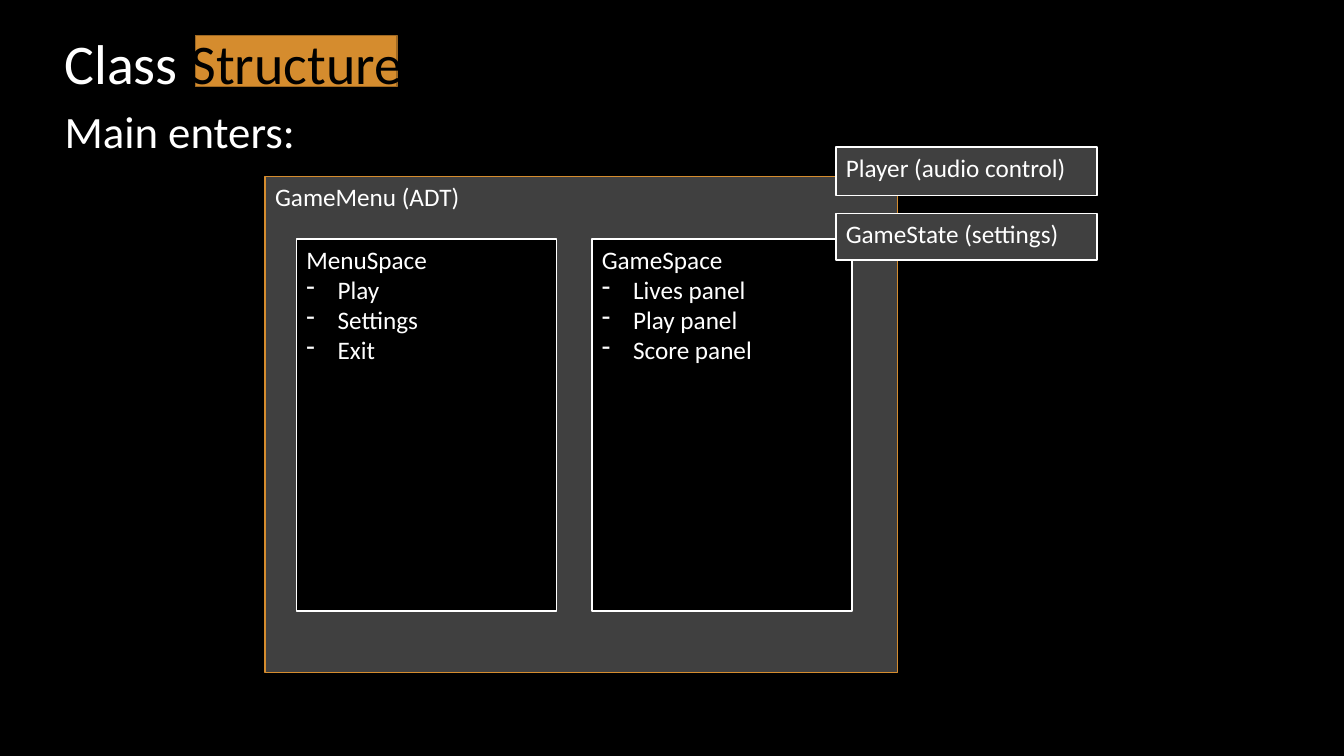
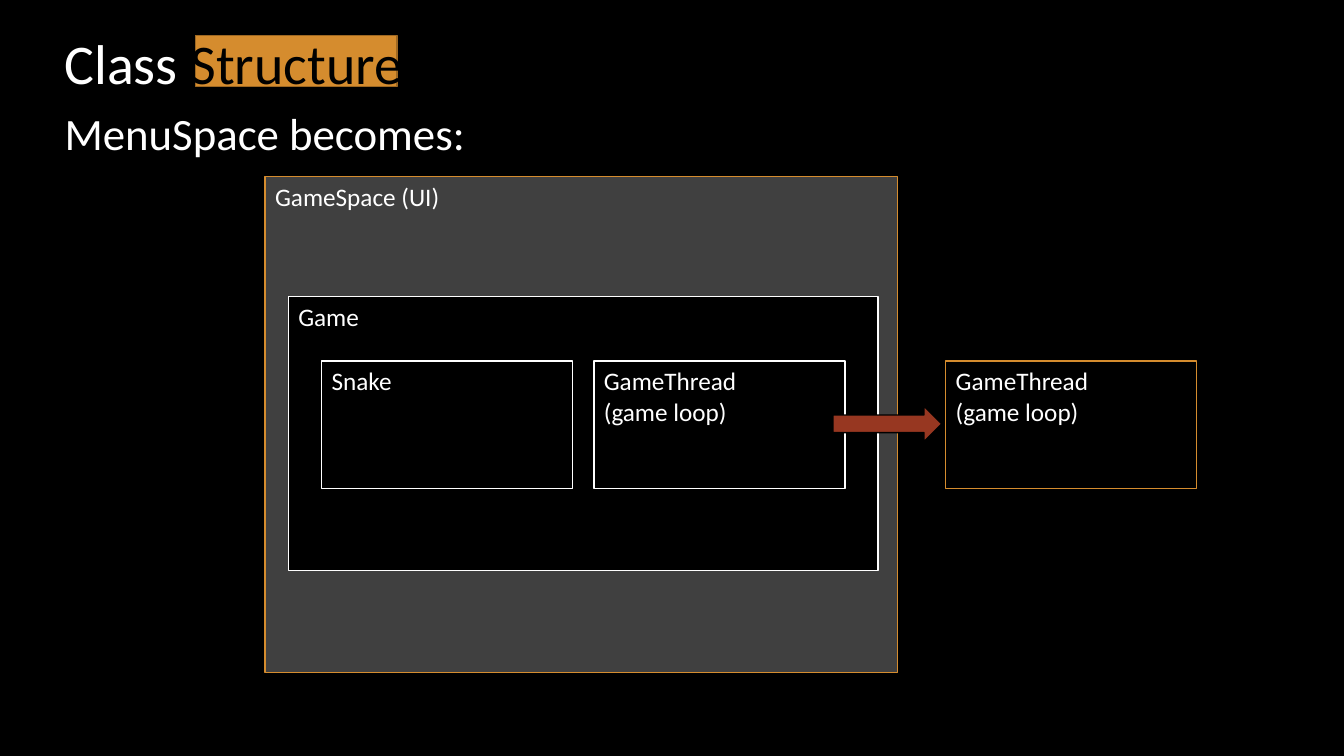
from dataclasses import dataclass
from typing import Any

from lxml import etree
from pptx import Presentation
from pptx.dml.color import RGBColor
from pptx.enum.shapes import MSO_SHAPE
from pptx.enum.text import MSO_ANCHOR, MSO_AUTO_SIZE, PP_ALIGN
from pptx.oxml.ns import qn
from pptx.util import Inches, Pt

RECT, ARROW = MSO_SHAPE.RECTANGLE, MSO_SHAPE.RIGHT_ARROW
TOP, LEFT = MSO_ANCHOR.TOP, PP_ALIGN.LEFT
GROW = MSO_AUTO_SIZE.SHAPE_TO_FIT_TEXT

# Shared look
HEX = {
    "black": "000000", "white": "FFFFFF", "gray": "404040",
    "gold": "D58C2E", "brown": "9E6822", "red": "973721",
}
FONT = "Calibri"
FRAME = {"word_wrap": True, "vertical_anchor": TOP}
TITLE = {**FRAME, "auto_size": GROW}
LABEL = {**TITLE, "word_wrap": False}
INDENT = 0.31


@dataclass
class Box:
    x: float
    y: float
    w: float
    h: float
    lines: tuple[str, ...] = ()
    items: tuple[str, ...] = ()
    fill: str = "black"
    edge: str = "white"
    kind: Any = RECT


@dataclass
class Page:
    label: Box
    boxes: list[Box]


def color(name: str) -> RGBColor:
    return RGBColor.from_string(HEX[name])


def apply(target: Any, style: dict[str, Any]) -> None:
    for key, value in style.items():
        setattr(target, key, value)


def write(para: Any, text: str, size: int, ink: str = "white") -> None:
    run = para.add_run()
    run.text = text
    apply(run.font, {"name": FONT, "size": Pt(size)})
    run.font.color.rgb = color(ink)


def bullet(para: Any) -> None:
    props = para._p.get_or_add_pPr()
    props.set("marL", str(Inches(INDENT)))
    props.set("indent", str(-Inches(INDENT)))
    etree.SubElement(props, qn("a:buChar")).set("char", "-")


def place(shape: Any, box: Box) -> None:
    apply(shape, {"left": Inches(box.x), "top": Inches(box.y),
                  "width": Inches(box.w), "height": Inches(box.h)})


def draw(slide: Any, box: Box) -> Any:
    shape = slide.shapes.add_shape(
        box.kind, *(Inches(n) for n in (box.x, box.y, box.w, box.h)))
    shape.shadow.inherit = False
    shape.fill.solid()
    shape.fill.fore_color.rgb = color(box.fill)
    shape.line.color.rgb = color(box.edge)
    shape.line.width = Pt(1)
    frame = shape.text_frame
    apply(frame, FRAME)
    for i, text in enumerate(box.lines + box.items):
        para = frame.add_paragraph() if i else frame.paragraphs[0]
        para.alignment = LEFT
        if i >= len(box.lines):
            bullet(para)
        write(para, text, 18)
    return shape


def head(slide: Any, label: Box) -> None:
    # Title over its gold band
    title = slide.shapes.title
    place(title, Box(0.54, 0.23, 4, 0.77))
    apply(title.text_frame, TITLE)
    para = title.text_frame.paragraphs[0]
    para.alignment = LEFT
    write(para, "Class ", 40)
    write(para, "Structure", 40, "black")
    band = draw(slide, Box(1.94, 0.35, 2, 0.51, fill="gold", edge="brown"))
    title._element.addprevious(band._element)

    # Line under the title
    body = slide.placeholders[1]
    place(body, label)
    apply(body.text_frame, LABEL)
    para = body.text_frame.paragraphs[0]
    apply(para, {"alignment": LEFT, "space_before": Pt(0)})
    props = para._p.get_or_add_pPr()
    props.set("marL", "0")
    props.set("indent", "0")
    etree.SubElement(props, qn("a:buNone"))
    write(para, label.lines[0], 32)


def panel(name: str) -> Box:
    return Box(2.63, 1.75, 6.27, 4.92, (name,), fill="gray", edge="gold")


def space(x: float, name: str, *items: str) -> Box:
    return Box(x, 2.37, 2.58, 3.69, (name,), items)


def side(y: float, h: float, name: str) -> Box:
    return Box(8.29, y, 2.59, h, (name,), fill="gray")


def part(x: float, *lines: str, edge: str = "white") -> Box:
    return Box(x, 3.58, 2.49, 1.27, lines, edge=edge)


# Slide content, back to front
LOOP = ("GameThread", "(game loop)")
PAGES = [
    Page(Box(0.54, 0.98, 2.51, 0.64, ("Main enters:",)), [
        panel("GameMenu (ADT)"),
        space(5.87, "GameSpace", "Lives panel", "Play panel", "Score panel"),
        side(2.12, 0.46, "GameState (settings)"),
        side(1.46, 0.48, "Player (audio control)"),
        space(2.94, "MenuSpace", "Play", "Settings", "Exit"),
    ]),
    Page(Box(0.54, 1, 4.21, 0.64, ("MenuSpace becomes:",)), [
        panel("GameSpace (UI)"),
        part(9.38, *LOOP, edge="gold"),
        Box(2.86, 2.94, 5.85, 2.72, ("Game",)),
        part(3.19, "Snake"),
        part(5.89, *LOOP),
        Box(8.26, 4.03, 1.08, 0.35, fill="red", edge="black", kind=ARROW),
    ]),
]

# Build the deck
deck = Presentation()
apply(deck, {"slide_width": Inches(13.33), "slide_height": Inches(7.5)})
back = deck.slide_master.background.fill
back.solid()
back.fore_color.rgb = color("black")
for page in PAGES:
    slide = deck.slides.add_slide(deck.slide_layouts[1])
    head(slide, page.label)
    for box in page.boxes:
        draw(slide, box)
deck.save("out.pptx")
